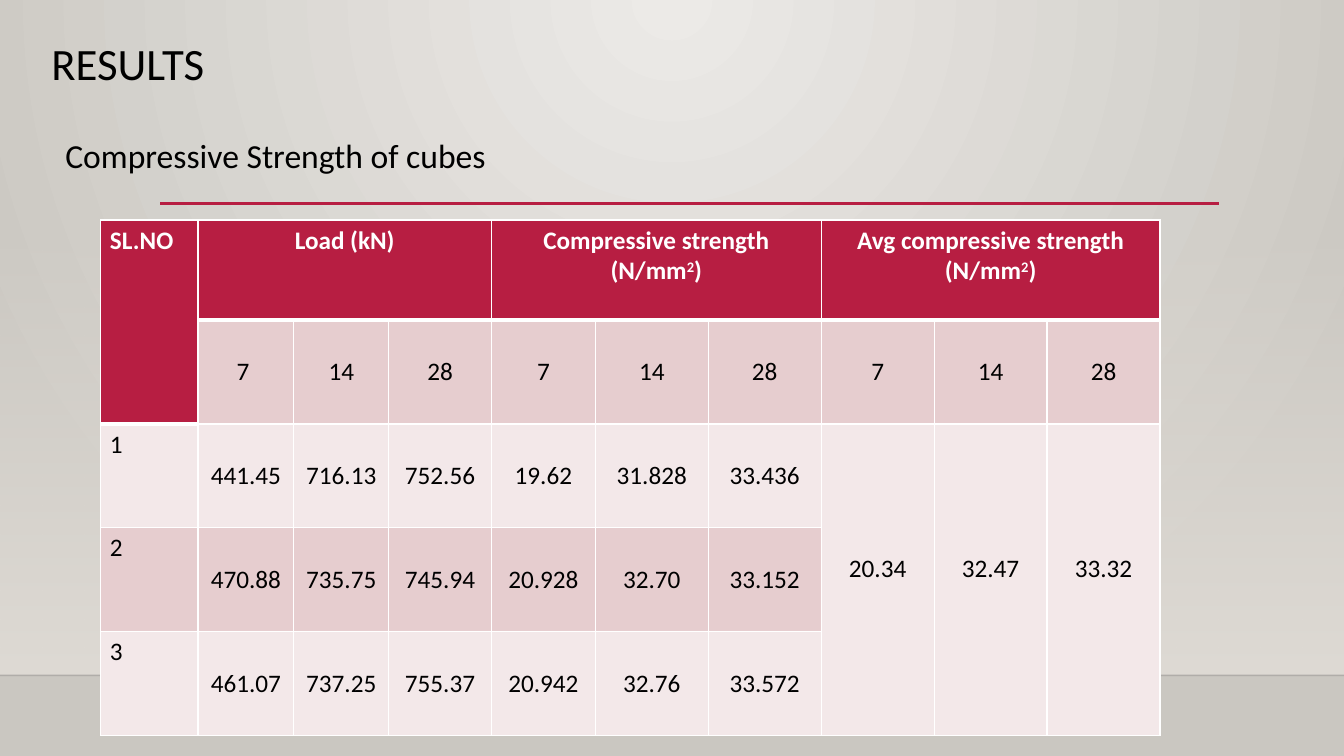
from lxml.etree import SubElement as Sub
from pptx import Presentation
from pptx.dml.color import RGBColor as RGB
from pptx.enum.shapes import MSO_CONNECTOR as Link, MSO_SHAPE as Form
from pptx.enum.text import MSO_ANCHOR as Anchor, MSO_AUTO_SIZE as Auto, PP_ALIGN as Align
from pptx.oxml import parse_xml
from pptx.oxml.ns import nsdecls, qn
from pptx.util import Pt

BLACK, WHITE = RGB(0, 0, 0), RGB(255, 255, 255)
RED, PINK, PALE = RGB(0xB7, 0x1E, 0x42), RGB(0xE6, 0xCD, 0xCF), RGB(0xF3, 0xE8, 0xE9)
LIGHT, DARK, SAND = RGB(0xEC, 0xEA, 0xE7), RGB(0xCA, 0xC7, 0xC1), RGB(0xDF, 0xDB, 0xD5)
EDGE = RGB(0, 0, 1)
FONT = "Calibri"

TITLE = "RESULTS"
TOPIC = "Compressive Strength of cubes"
HEADS = {
    0: ["SL.NO"],
    1: ["Load (kN)"],
    4: ["Compressive strength (N/mm", "2", ")"],
    7: ["Avg compressive strength (N/mm", "2", ")"],
}
BODY = [
    ["", "7 ", "14", "28", "7", "14", "28", "7", "14", "28"],
    ["1", "441.45", "716.13", "752.56", "19.62", "31.828", "33.436", "20.34", "32.47", "33.32"],
    ["2", "470.88", "735.75", "745.94", "20.928", "32.70", "33.152"],
    ["3", "461.07", "737.25", "755.37", "20.942", "32.76", "33.572"],
]
COLS = [69.5, 68.4, 67.8, 73.4, 74.2] + [80.7] * 5
ROWS = [71.6] + [74.1] * 4
WIDE, HIGH, FLOOR = 960, 540, 482.4


def style(para, size, color, bold=False, align=Align.LEFT):
    para.alignment = align
    font = para.font
    font.name, font.size, font.bold = FONT, Pt(size), bold
    font.color.rgb = color


def blend(fill, first, last):
    fill.gradient()
    for stop, color in zip(fill.gradient_stops, (first, last)):
        stop.color.rgb = color


def fade(part, share):
    tone = next(part.iter(qn("a:srgbClr")))
    Sub(tone, qn("a:alpha"), val=str(share * 1000))


def rule(left, right, top, color, width):
    line = slide.shapes.add_connector(Link.STRAIGHT, Pt(left), Pt(top), Pt(right), Pt(top))
    line.line.color.rgb, line.line.width = color, Pt(width)
    Sub(line._element.spPr, qn("a:effectLst"))
    return line


def is_head(row, col):
    return row == 0 or (row == 1 and col == 0)


def border(cell, row, col):
    low = 3 if is_head(row, col) else 1
    high = 3 if row and is_head(row - 1, col) else 1
    props = cell._tc.get_or_add_tcPr()
    for spot, (side, width) in enumerate(zip("LRTB", (1, 1, high, low))):
        props.insert(spot, parse_xml(
            f'<a:ln{side} {nsdecls("a")} w="{Pt(width)}"><a:solidFill>'
            f'<a:srgbClr val="{WHITE}"/></a:solidFill></a:ln{side}>'))


def write(cell, parts, color, bold, align):
    para = cell.text_frame.paragraphs[0]
    for spot, part in enumerate(parts):
        run = para.add_run()
        run.text = part
        if spot == 1:
            run.font._element.set("baseline", "30000")
    style(para, 18, color, bold, align)


deck = Presentation()
deck.slide_width, deck.slide_height = Pt(WIDE), Pt(HIGH)
slide = deck.slides.add_slide(deck.slide_layouts[5])

back = slide.background.fill
blend(back, LIGHT, DARK)
grad = next(slide._element.iter(qn("a:gradFill")))
grad.replace(grad.find(qn("a:lin")), parse_xml(
    f'<a:path {nsdecls("a")} path="circle">'
    '<a:fillToRect l="43000" t="0" r="43000" b="100000"/></a:path>'))

wall = slide.shapes.add_shape(Form.RECTANGLE, 0, Pt(159), Pt(WIDE), Pt(FLOOR - 159))
wall.shadow.inherit = False
wall.line.fill.background()
blend(wall.fill, SAND, SAND)
wall.fill.gradient_angle = 270
fade(wall._element.spPr, 0)
fade(rule(0, WIDE, FLOOR, EDGE, 1)._element.spPr, 20)
rule(114.5, 871, 145.4, RED, 2.5)

title = slide.shapes.title
slide.shapes._spTree.append(title._element)
title.left, title.top, title.width, title.height = Pt(29.5), Pt(26), Pt(757), Pt(60)
frame = title.text_frame
frame.text = TITLE
frame.auto_size, frame.vertical_anchor = Auto.NONE, Anchor.TOP
style(frame.paragraphs[0], 32, BLACK)
frame.paragraphs[0].line_spacing = 0.9

table = slide.shapes.add_table(
    len(ROWS), len(COLS), Pt(72), Pt(157.2), Pt(sum(COLS)), Pt(sum(ROWS))).table
for col, width in zip(table.columns, COLS):
    col.width = Pt(width)
for row, height in zip(table.rows, ROWS):
    row.height = Pt(height)

for row in range(len(ROWS)):
    for col in range(len(COLS)):
        cell = table.cell(row, col)
        cell.margin_left = cell.margin_right = Pt(6.5)
        cell.fill.solid()
        cell.fill.fore_color.rgb = RED if is_head(row, col) else PINK if row % 2 else PALE
        border(cell, row, col)

table.cell(0, 0).merge(table.cell(1, 0))
for col in (1, 4, 7):
    table.cell(0, col).merge(table.cell(0, col + 2))
for col in (7, 8, 9):
    table.cell(2, col).merge(table.cell(4, col))
    table.cell(2, col).margin_bottom = Pt(19.5)

for col, parts in HEADS.items():
    write(table.cell(0, col), parts, WHITE, True, Align.CENTER if col else Align.LEFT)
for row, texts in enumerate(BODY, 1):
    for col, text in enumerate(texts):
        if text:
            cell = table.cell(row, col)
            write(cell, [text], BLACK, False, Align.CENTER if col else Align.LEFT)
            cell.vertical_anchor = Anchor.MIDDLE if col else Anchor.TOP

topic = slide.shapes.add_textbox(Pt(39.6), Pt(93), Pt(726), Pt(36)).text_frame
topic.word_wrap = True
topic.text = TOPIC
style(topic.paragraphs[0], 24, BLACK)

deck.save("out.pptx")
